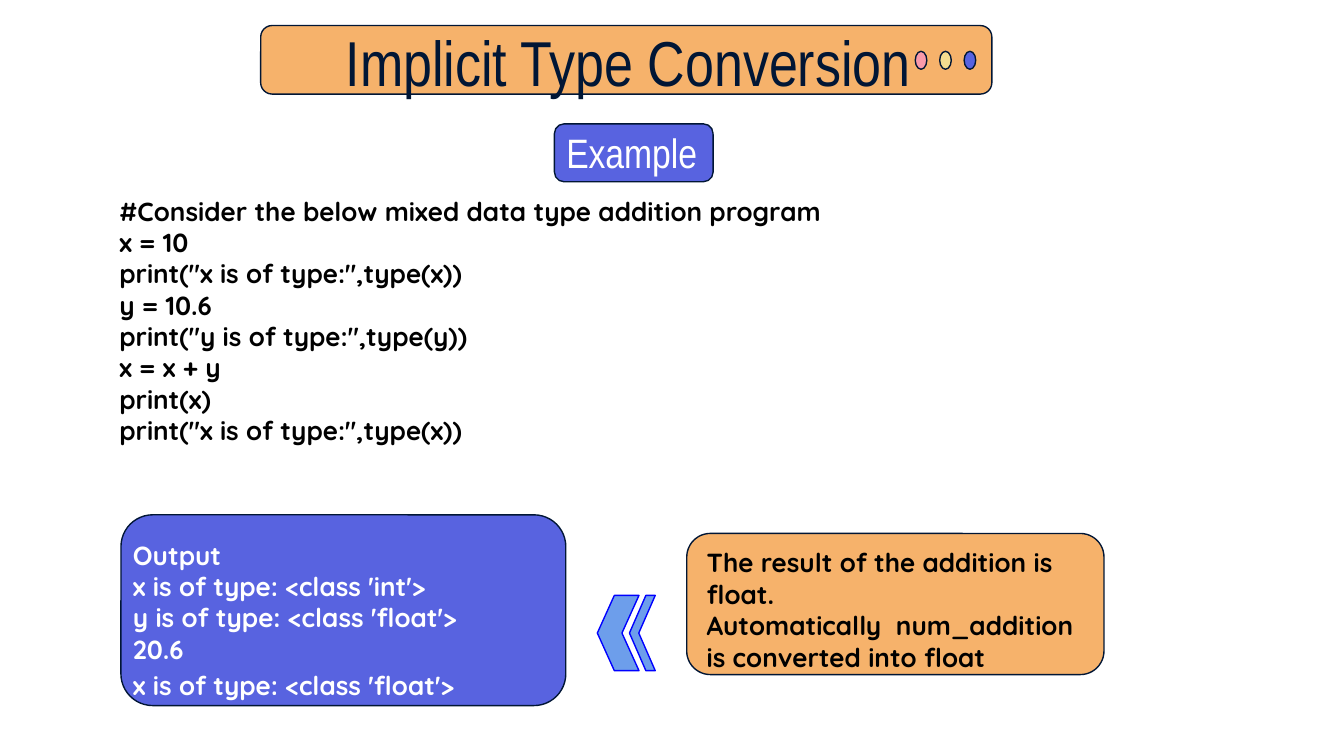
from dataclasses import dataclass

from pptx import Presentation
from pptx.dml.color import RGBColor
from pptx.enum.shapes import MSO_SHAPE
from pptx.enum.text import MSO_ANCHOR, MSO_AUTO_SIZE, PP_ALIGN
from pptx.util import Pt


@dataclass(frozen=True)
class Theme:
    navy: str = "011635"
    orange: str = "F6B26B"
    indigo: str = "5863E0"
    pink: str = "F99AAA"
    yellow: str = "F4DC90"
    sky: str = "6D9EEB"
    blue: str = "0000FF"
    black: str = "000000"
    white: str = "FFFFFF"
    heading_font: str = "Arial Narrow"
    body_font: str = "Quicksand"
    title_size: float = 34
    label_size: float = 22
    body_size: float = 14
    line_width: float = 0.75


THEME = Theme()

CODE_LINES = [
    "#Consider the below mixed data type addition program",
    "x = 10",
    'print("x is of type:",type(x))',
    "y = 10.6",
    'print("y is of type:",type(y))',
    "x = x + y",
    "print(x)",
    'print("x is of type:",type(x))',
]
OUTPUT_LINES = [
    "Output",
    "x is of type: <class 'int'>",
    "y is of type: <class 'float'>",
    "20.6",
    "x is of type: <class 'float'>",
]
RESULT_LINES = [
    "The result of the addition is float.",
    "Automatically  num_addition  is converted into float",
]


def paint(shape, fill, line=THEME.navy):
    shape.shadow.inherit = False
    shape.fill.solid()
    shape.fill.fore_color.rgb = RGBColor.from_string(fill)
    shape.line.color.rgb = RGBColor.from_string(line)
    shape.line.width = Pt(THEME.line_width)


def add_panel(slide, left, top, width, height, fill, kind=MSO_SHAPE.ROUNDED_RECTANGLE):
    shape = slide.shapes.add_shape(kind, Pt(left), Pt(top), Pt(width), Pt(height))
    paint(shape, fill)


def add_chevron(slide, left, top, width, height, thickness):
    """Draw a left-pointing chevron with arms of the given thickness."""
    right, middle, bottom = left + width, top + height / 2, top + height
    points = [
        (right, bottom), (left + thickness, middle), (right, top),
        (right - thickness, top), (left, middle), (right - thickness, bottom),
    ]
    corners = [(Pt(x), Pt(y)) for x, y in points]
    builder = slide.shapes.build_freeform(*corners[0], scale=1.0)
    builder.add_line_segments(corners[1:], close=True)
    paint(builder.convert_to_shape(), THEME.sky, THEME.blue)


def add_text(slide, left, top, width, height, lines, font, size, color, inset=0, bold=False):
    box = slide.shapes.add_textbox(Pt(left), Pt(top), Pt(width), Pt(height))
    text_frame = box.text_frame
    text_frame.word_wrap = True
    text_frame.margin_left = text_frame.margin_right = Pt(inset)
    text_frame.margin_top = text_frame.margin_bottom = Pt(inset)
    text_frame.text = "\n".join(lines)
    for paragraph in text_frame.paragraphs:
        for run in paragraph.runs:
            run.font.name = font
            run.font.size = Pt(size)
            run.font.bold = bold
            run.font.color.rgb = RGBColor.from_string(color)
    return text_frame


def add_heading(slide, left, top, width, height, text, size, color):
    text_frame = add_text(slide, left, top, width, height, [text],
                          THEME.heading_font, size, color)
    text_frame.vertical_anchor = MSO_ANCHOR.MIDDLE
    text_frame.paragraphs[0].alignment = PP_ALIGN.CENTER
    return text_frame


def add_body(slide, left, top, width, height, lines, color):
    text_frame = add_text(slide, left, top, width, height, lines, THEME.body_font,
                          THEME.body_size, color, inset=7.2, bold=True)
    text_frame.auto_size = MSO_AUTO_SIZE.SHAPE_TO_FIT_TEXT
    return text_frame


def main():
    presentation = Presentation()
    presentation.slide_width, presentation.slide_height = Pt(720), Pt(405)
    slide = presentation.slides.add_slide(presentation.slide_layouts[6])

    # Title bar with three dots
    add_panel(slide, 139.7, 13.7, 391.7, 36.7, THEME.orange)
    for index, color in enumerate([THEME.pink, THEME.yellow, THEME.indigo]):
        add_panel(slide, 490.3 + 13.1 * index, 27.5, 6.2, 9.6, color, MSO_SHAPE.OVAL)
    add_heading(slide, 173.5, 10.1, 326.2, 45.4, "Implicit Type Conversion",
                THEME.title_size, THEME.navy)

    # Example code
    code = add_body(slide, 56.9, 97.2, 417.6, 150.5, CODE_LINES, THEME.black)
    for paragraph in code.paragraphs:
        properties = paragraph._p.get_or_add_pPr()
        properties.set("marL", str(Pt(27)))
        properties.set("indent", str(Pt(-27)))

    # Example label
    add_panel(slide, 297, 66.4, 85, 31, THEME.indigo)
    label = add_heading(slide, 293, 64.8, 85, 33.1, "Example",
                        THEME.label_size, THEME.white)
    label.margin_left = Pt(5.8)

    # Program output
    add_panel(slide, 64.8, 275.8, 238.3, 102.2, THEME.indigo)
    output = add_body(slide, 64.1, 281.5, 295.9, 99.4, OUTPUT_LINES, THEME.white)
    output.paragraphs[-1].line_spacing = 1.15
    output.paragraphs[-1].space_after = Pt(8)

    # Double chevron from explanation to output
    add_chevron(slide, 320, 319, 22.3, 40.3, thickness=13.2)
    add_chevron(slide, 337.2, 319, 13.8, 40.3, thickness=5)

    # Explanation of the result
    add_panel(slide, 367.9, 285.8, 223.5, 75.6, THEME.orange)
    add_body(slide, 371.5, 285.8, 218.9, 82.1, RESULT_LINES, THEME.black)

    presentation.save("out.pptx")


if __name__ == "__main__":
    main()
